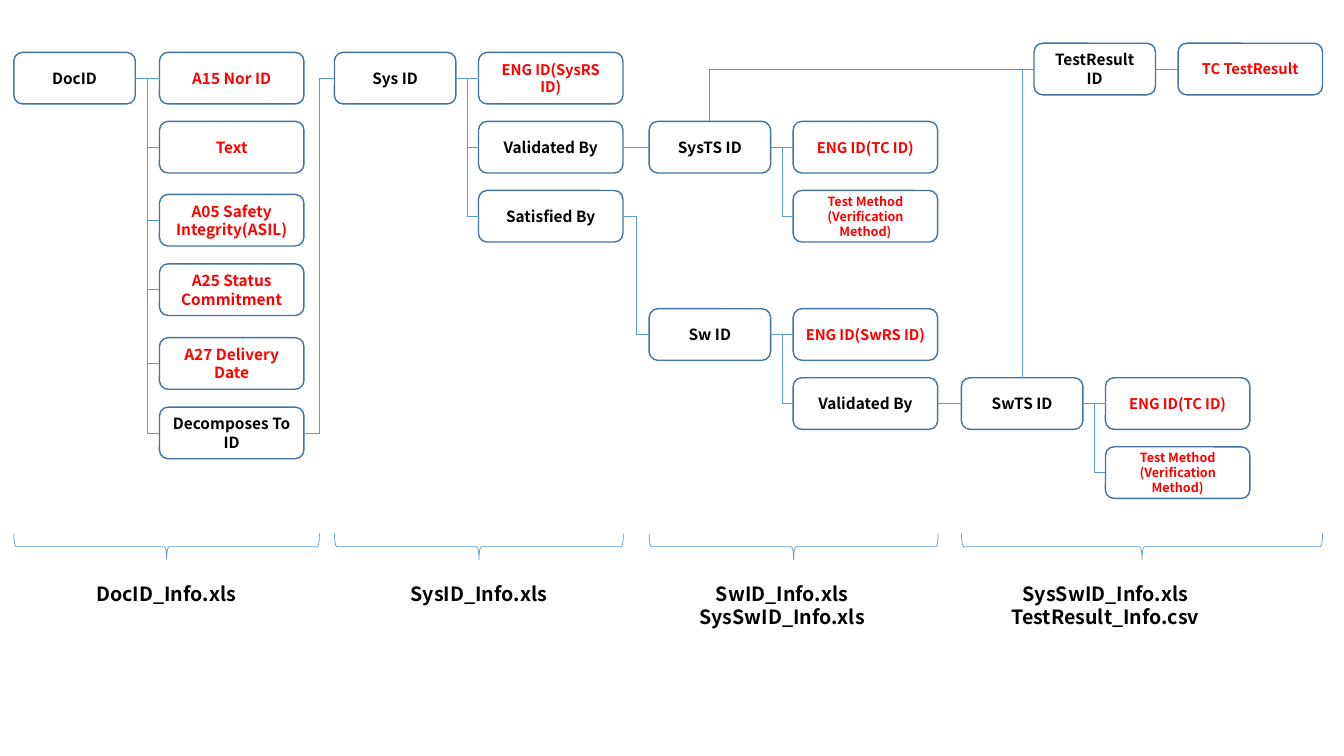
from pptx import Presentation
from pptx.dml.color import RGBColor
from pptx.enum.shapes import MSO_CONNECTOR, MSO_SHAPE
from pptx.enum.text import MSO_ANCHOR, PP_ALIGN
from pptx.oxml.ns import qn
from pptx.util import Cm, Pt
from lxml.etree import SubElement

FONT = "Noto Sans CJK KR"
BLACK, RED, EDGE, LINK = "000000", "FF0000", "43739E", "5B9BD5"
KEY, ATTR, HIGH, STEP = 3.06, 3.64, 1.3, 1.74
TOP, LEFT, RIGHT = 0, 1, 3  # connection sites of a box


def paint(color, tone):
    color.rgb = RGBColor.from_string(tone)


def write(frame, text, size, tone):
    frame.word_wrap = True
    frame.text = text
    for para in frame.paragraphs:
        para.alignment = PP_ALIGN.CENTER
        para.font.name, para.font.size, para.font.bold = FONT, Pt(size), True
        paint(para.font.color, tone)


def outline(shapes, kind, left, top, width, height, tone, weight):
    shape = shapes.add_shape(kind, Cm(left), Cm(top), Cm(width), Cm(height))
    shape.shadow.inherit = False
    shape.fill.background()
    paint(shape.line.color, tone)
    shape.line.width = Pt(weight)
    return shape


def node(shapes, left, top, width, text, size=11, tone=BLACK):
    shape = outline(shapes, MSO_SHAPE.ROUNDED_RECTANGLE,
                    left, top, width, HIGH, EDGE, 1)
    shape.text_frame.vertical_anchor = MSO_ANCHOR.MIDDLE
    write(shape.text_frame, text, size, tone)
    return shape


def link(shapes, start, end, exit=RIGHT, entry=LEFT, corner=False):
    level = start.top == end.top
    kind = MSO_CONNECTOR.STRAIGHT if level else MSO_CONNECTOR.ELBOW
    line = shapes.add_connector(kind, 0, 0, 0, 0)
    line.begin_connect(start, exit)
    line.end_connect(end, entry)
    paint(line.line.color, LINK)
    line.line.width = Pt(0.5)
    props = line.element.spPr
    SubElement(props, qn("a:effectLst"))
    if corner:
        props.find(qn("a:prstGeom")).set("prst", "bentConnector2")


def branch(shapes, left, top, name, items, gap=0.57, drops=None):
    """Key box with its attributes stacked to the right."""
    key = node(shapes, left, top, KEY, name)
    kids = []
    for i, item in enumerate(items):
        drop = drops[i] if drops else i * STEP
        kid = node(shapes, left + KEY + gap, top + drop, ATTR, *item)
        link(shapes, key, kid)
        kids.append(kid)
    return key, kids


def source(shapes, left, top, width, center, text):
    """Brace below a column of boxes, with its file names."""
    deep = 0.66
    brace = outline(shapes, MSO_SHAPE.RIGHT_BRACE, left + (width - deep) / 2,
                    top + (deep - width) / 2, deep, width, LINK, 0.5)
    brace.rotation = 90
    wide = 5.54
    label = shapes.add_textbox(Cm(center - wide / 2), Cm(top + 1.08),
                               Cm(wide), Cm(0.86))
    write(label.text_frame, text, 14, BLACK)


deck = Presentation()
deck.slide_width, deck.slide_height = Cm(33.87), Cm(19.05)
shapes = deck.slides.add_slide(deck.slide_layouts[6]).shapes

# Branches
ROW = 1.32
method = ("Test Method\n(Verification Method)", 9, RED)
case = ("ENG ID(TC ID)", 10.5, RED)
doc, parts = branch(shapes, 0.35, ROW, "DocID", [
    ("A15 Nor ID", 11, RED),
    ("Text", 11, RED),
    ("A05 Safety Integrity(ASIL)", 11, RED),
    ("A25 Status Commitment", 11, RED),
    ("A27 Delivery Date", 11, RED),
    ("Decomposes To ID",),
], gap=0.61, drops=[0, STEP, 3.58, 5.33, 7.19, 8.94])
system, needs = branch(shapes, 8.43, ROW, "Sys ID", [
    ("ENG ID(SysRS ID)", 10.5, RED), ("Validated By",), ("Satisfied By",)])
systest, _ = branch(shapes, 16.36, ROW + STEP, "SysTS ID", [case, method])
soft, checks = branch(shapes, 16.36, 7.78, "Sw ID", [
    ("ENG ID(SwRS ID)", 10.5, RED), ("Validated By",)])
softtest, _ = branch(shapes, 24.23, 7.78 + STEP, "SwTS ID", [case, method])
result, _ = branch(shapes, 26.06, 1.09, "TestResult ID", [
    ("TC TestResult", 10.5, RED)])

# Links between branches
for start, end in [(parts[-1], system), (needs[1], systest),
                   (needs[2], soft), (checks[1], softtest)]:
    link(shapes, start, end)
for test in (systest, softtest):
    link(shapes, result, test, LEFT, TOP, corner=True)

# Source files
for left, width, center, text in [
    (0.35, 7.7, 4.19, "DocID_Info.xls"),
    (8.43, 7.28, 12.07, "SysID_Info.xls"),
    (16.36, 7.28, 19.71, "SwID_Info.xls\vSysSwID_Info.xls"),
    (24.23, 9.1, 27.86, "SysSwID_Info.xls\nTestResult_Info.csv"),
]:
    source(shapes, left, 13.45, width, center, text)

deck.save("out.pptx")
